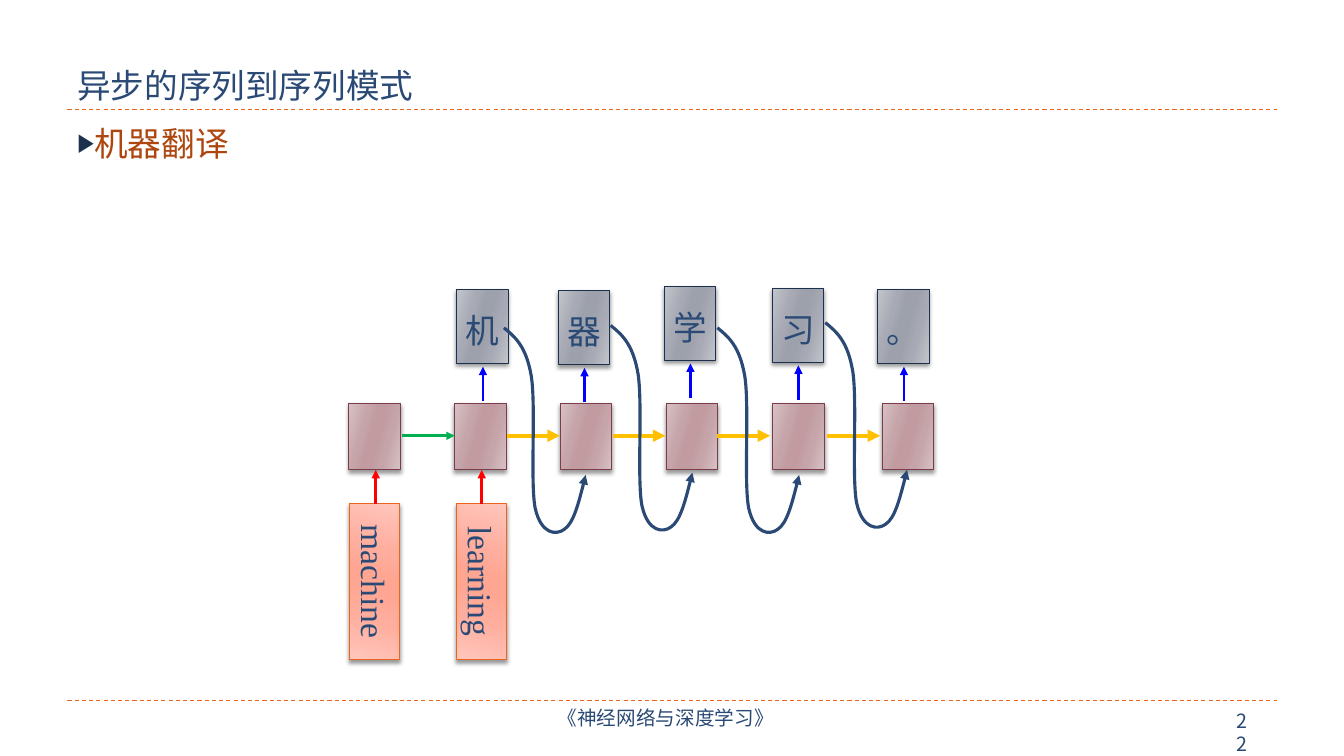
from lxml import etree
from pptx import Presentation
from pptx import util as u
from pptx.dml.color import RGBColor
from pptx.enum import dml, shapes, text
from pptx.oxml.ns import qn

NAVY = RGBColor(0x2A, 0x4A, 0x75)
DARK_NAVY = RGBColor(0x1C, 0x31, 0x4E)
RUST = RGBColor(0xAD, 0x47, 0x0F)
ORANGE = RGBColor(0xEB, 0x64, 0x1B)
WINE = RGBColor(0x7D, 0x3C, 0x4A)
RED = RGBColor(0xFF, 0x00, 0x00)
BLUE = RGBColor(0x00, 0x00, 0xFF)
GREEN = RGBColor(0x00, 0xB0, 0x50)
AMBER = RGBColor(0xFF, 0xC0, 0x00)

# Gradient shades from the edge to the middle of a cell, then its outline
SALMON_CELL = ("FFC6BC", "FFAE9E", "FFA693", ORANGE)
ROSE_CELL = ("D7C2C5", "C6A5AA", "C19BA0", WINE)
GREY_CELL = ("C3C5CB", "A7AAB4", "9DA1AC", DARK_NAVY)

CJK = "Noto Sans CJK SC"


def write(frame, words, size, font, color=NAVY, align=text.PP_ALIGN.LEFT):
    frame.word_wrap = True
    frame.text = words
    line = frame.paragraphs[0]
    line.alignment = align
    for run in line.runs:
        run.font.size = u.Pt(size)
        run.font.name = font
        run.font.color.rgb = color
        etree.SubElement(run.font._element, qn("a:ea"), typeface=CJK)


def draw_line(x1, y1, x2, y2, color, width, arrow=True):
    line = slide.shapes.add_connector(
        shapes.MSO_CONNECTOR.STRAIGHT, u.Cm(x1), u.Cm(y1), u.Cm(x2), u.Cm(y2))
    line.line.color.rgb = color
    line.line.width = u.Pt(width)
    if arrow:
        etree.SubElement(line.line._get_or_add_ln(), qn("a:tailEnd"), type="triangle")
    else:
        line.line.dash_style = dml.MSO_LINE.DASH
    etree.SubElement(line._element.spPr, qn("a:effectLst"))


prs = Presentation()
prs.slide_width, prs.slide_height = u.Cm(33.87), u.Cm(19.05)
slide = prs.slides.add_slide(prs.slide_layouts[6])

# Rules under the title and above the footer
for rule_y in (2.75, 17.65):
    draw_line(1.7, rule_y, 32.18, rule_y, ORANGE, 0.75, arrow=False)

# Footer and page number
footer = slide.shapes.add_textbox(u.Cm(11.28), u.Cm(17.68), u.Cm(11), u.Cm(1.02)).text_frame
footer.margin_top = footer.margin_bottom = u.Cm(0.1)
write(footer, "《神经网络与深度学习》", 14, CJK, align=text.PP_ALIGN.CENTER)
page = slide.shapes.add_textbox(u.Cm(30.91), u.Cm(17.73), u.Cm(1.03), u.Cm(0.86)).text_frame
write(page, "22", 14, CJK)

# Title
title = slide.shapes.add_textbox(u.Cm(1.7), u.Cm(0.43), u.Cm(30.48), u.Cm(2.34)).text_frame
title.vertical_anchor = text.MSO_ANCHOR.BOTTOM
write(title, "异步的序列到序列模式", 24, "Arial")

# Bulleted topic
topic = slide.shapes.add_textbox(u.Cm(1.7), u.Cm(2.97), u.Cm(30.48), u.Cm(14.07)).text_frame
write(topic, "机器翻译", 24, "Times New Roman", RUST)
bullet = topic.paragraphs[0]._p.get_or_add_pPr()
bullet.set("marL", str(u.Cm(0.43)))
bullet.set("indent", str(-u.Cm(0.43)))
bullet_color = etree.SubElement(bullet, qn("a:buClr"))
etree.SubElement(bullet_color, qn("a:srgbClr"), val=str(DARK_NAVY))
etree.SubElement(bullet, qn("a:buSzPct"), val="76000")
etree.SubElement(bullet, qn("a:buFont"), typeface="Arial")
etree.SubElement(bullet, qn("a:buChar"), char="▶")

# Cells: left, top, width, height, word, rotation, shades
input_words = [(7.47, "machine"), (10.16, "learning")]
hidden_lefts = [8.79, 11.46, 14.12, 16.79, 19.48, 22.23]
output_words = [(11.51, 7.29, "机"), (14.07, 7.32, "器"), (16.74, 7.21, "学"),
                (19.46, 7.26, "习"), (22.12, 7.29, "。")]
cells = [(x, 14.02, 3.94, 1.27, word, 90, SALMON_CELL) for x, word in input_words]
cells += [(x, 10.16, 1.3, 1.68, "", 0, ROSE_CELL) for x in hidden_lefts]
cells += [(x, y, 1.3, 1.87, word, 0, GREY_CELL) for x, y, word in output_words]

for left, top, width, height, word, rotation, (edge, between, middle, outline) in cells:
    cell = slide.shapes.add_shape(
        shapes.MSO_SHAPE.RECTANGLE, u.Cm(left), u.Cm(top), u.Cm(width), u.Cm(height))
    cell.rotation = rotation
    cell.line.color.rgb = outline
    cell.line.width = u.Pt(0.75)
    cell.fill.gradient()
    gradient = cell._element.spPr.find(qn("a:gradFill"))
    gradient.find(qn("a:lin")).set("ang", str(16 * 60000))
    stops = gradient.find(qn("a:gsLst"))
    for stop in list(stops):
        stops.remove(stop)
    for percent, shade in zip((0, 30, 45, 55, 73, 100),
                              (edge, between, middle, middle, between, edge)):
        stop = etree.SubElement(stops, qn("a:gs"), pos=str(percent * 1000))
        etree.SubElement(stop, qn("a:srgbClr"), val=shade)
    cell.shadow.inherit = False
    shadow = etree.SubElement(
        cell._element.spPr.find(qn("a:effectLst")), qn("a:outerShdw"),
        blurRad=str(u.Pt(3)), dist=str(u.Pt(2)), dir="5400000", rotWithShape="0")
    shadow_color = etree.SubElement(shadow, qn("a:srgbClr"), val="000000")
    etree.SubElement(shadow_color, qn("a:alpha"), val="40000")
    if word:
        frame = cell.text_frame
        font = "Times New Roman" if rotation else "Arial"
        if not rotation:
            frame.margin_left = frame.margin_right = frame.margin_bottom = 0
            frame.margin_top = u.Cm(0.2)
        write(frame, word, 24, font, align=text.PP_ALIGN.CENTER)

# Arrows from the input words, to the output words and between hidden cells
for x in (9.47, 12.14):
    draw_line(x, 12.7, x, 11.84, RED, 2)
for left, top, word in output_words:
    draw_line(left + 0.66, top + 2.82, left + 0.66, top + 1.95, BLUE, 2)
draw_line(10.13, 10.98, 11.46, 10.98, GREEN, 2)
for x in (12.78, 15.44, 18.08, 20.85):
    draw_line(x, 10.98, x + 1.33, 10.98, AMBER, 3)

# Feedback curves from each output word to the next hidden cell
curve = [(0.28, 0.23), (0.56, 0.46), (0.69, 1.22),
         (0.81, 1.98), (0.66, 3.91), (0.79, 4.55),
         (0.94, 5.21), (1.32, 5.23), (1.52, 5.08),
         (1.75, 4.93), (1.91, 4.32), (2.06, 3.71)]
for x, y in ((12.7, 8.26), (15.39, 8.2), (18.08, 8.26), (20.8, 8.13)):
    builder = slide.shapes.build_freeform(u.Cm(x), u.Cm(y))
    builder.add_line_segments([(u.Cm(x + dx), u.Cm(y + dy)) for dx, dy in curve], close=False)
    feedback = builder.convert_to_shape()
    feedback.fill.background()
    feedback.line.color.rgb = NAVY
    feedback.line.width = u.Pt(2.25)
    feedback.shadow.inherit = False
    etree.SubElement(feedback.line._get_or_add_ln(), qn("a:tailEnd"), type="triangle")
    # Every three points become one Bézier segment
    outline = next(feedback._element.iter(qn("a:path")))
    segments = outline.findall(qn("a:lnTo"))
    for first in range(0, len(segments), 3):
        bezier = etree.SubElement(outline, qn("a:cubicBezTo"))
        for segment in segments[first:first + 3]:
            bezier.append(segment[0])
            outline.remove(segment)

prs.save("out.pptx")
